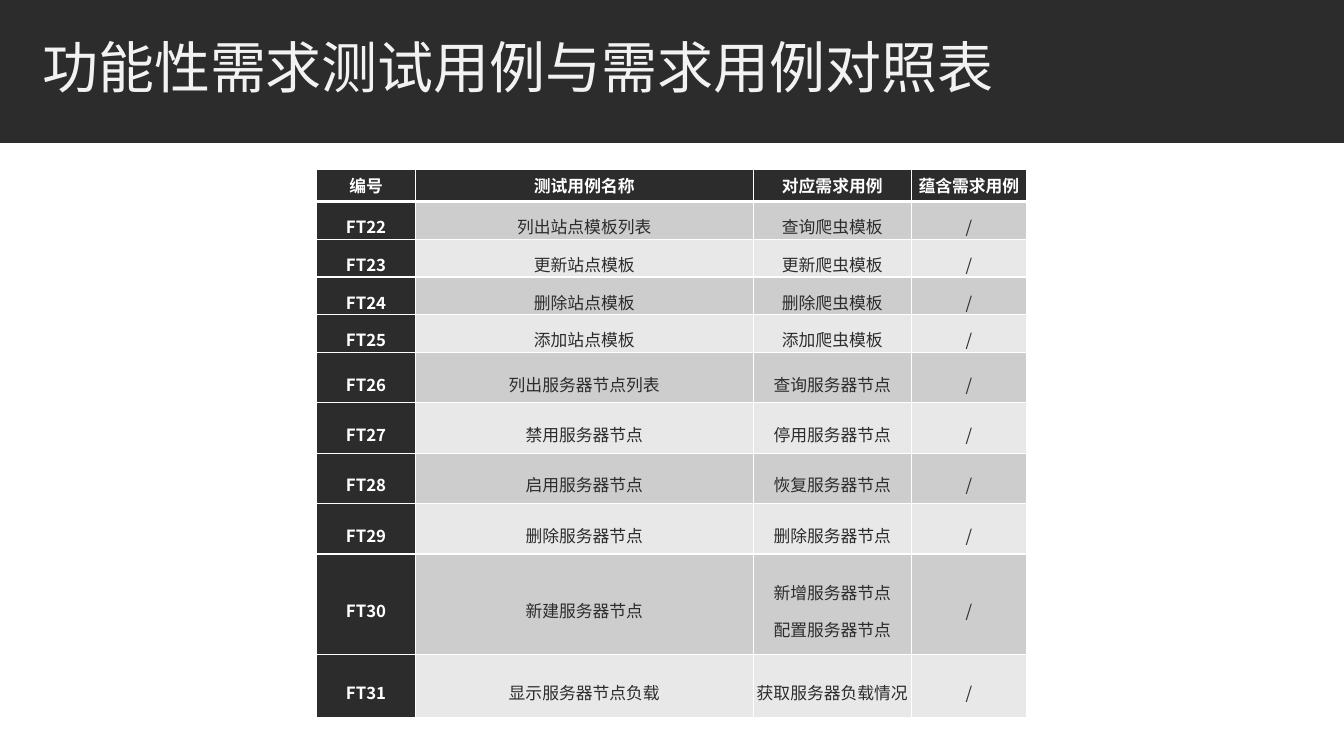
from lxml.etree import SubElement
from pptx import Presentation
from pptx.dml.color import RGBColor
from pptx.enum.shapes import MSO_SHAPE
from pptx.enum.text import MSO_ANCHOR, MSO_AUTO_SIZE, PP_ALIGN
from pptx.oxml.ns import qn
from pptx.util import Cm, Pt

# Content
TITLE = "功能性需求测试用例与需求用例对照表"
HEADER = ("编号", "测试用例名称", "对应需求用例", "蕴含需求用例")
CASES = [
    ("列出站点模板列表", "查询爬虫模板"),
    ("更新站点模板", "更新爬虫模板"),
    ("删除站点模板", "删除爬虫模板"),
    ("添加站点模板", "添加爬虫模板"),
    ("列出服务器节点列表", "查询服务器节点"),
    ("禁用服务器节点", "停用服务器节点"),
    ("启用服务器节点", "恢复服务器节点"),
    ("删除服务器节点", "删除服务器节点"),
    ("新建服务器节点", "新增服务器节点\n配置服务器节点"),
    ("显示服务器节点负载", "获取服务器负载情况"),
]
FIRST_NUMBER = 22

# Look, lengths in centimetres
FONT = "Noto Sans CJK SC"
DARK, WHITE, TITLE_COLOR = "2C2C2C", "FFFFFF", "F2F2F2"
BANDS = ("E8E8E8", "CDCDCD")
COLUMN_WIDTHS = (2.49, 8.51, 3.99, 2.9)
ROW_HEIGHTS = [0.81] + [0.95] * 4 + [1.27] * 4 + [2.54, 1.57]
TABLE_LEFT, TABLE_TOP = 7.98, 4.27


def color(hex_code):
    return RGBColor.from_string(hex_code)


def format_text(para, size, hex_code, bold=False):
    for span in para.runs:
        span.font.size = Pt(size)
        span.font.bold = bold
        span.font.color.rgb = color(hex_code)
        span.font.name = FONT
        SubElement(span._r.get_or_add_rPr(), qn("a:ea"), typeface=FONT)


def add_borders(cell, widths):
    properties = cell._tc.get_or_add_tcPr()
    for side, width in widths.items():
        line = SubElement(properties, qn(f"a:ln{side}"), w=str(Pt(width)))
        fill = SubElement(line, qn("a:solidFill"))
        SubElement(fill, qn("a:srgbClr"), val=WHITE)


def fill_cell(cell, text, row, column):
    is_header = row == 0
    is_dark = is_header or column == 0
    add_borders(cell, {"L": 1, "R": 1,
                       "T": 3 if row == 1 else 1,
                       "B": 3 if is_header else 1})
    cell.fill.solid()
    cell.fill.fore_color.rgb = color(DARK if is_dark else BANDS[row % 2])
    cell.vertical_anchor = MSO_ANCHOR.MIDDLE
    cell.margin_left = cell.margin_right = Cm(0.05 if is_header else 0.08)
    cell.margin_top = cell.margin_bottom = 0
    cell.text_frame.text = text
    for para in cell.text_frame.paragraphs:
        para.alignment = PP_ALIGN.CENTER
        para.line_spacing = 1.0 if is_header else 1.5
        format_text(para, 12, WHITE if is_dark else DARK, is_dark)


deck = Presentation()
deck.slide_width, deck.slide_height = Cm(33.87), Cm(19.05)
page = deck.slides.add_slide(deck.slide_layouts[5])

# Title on a dark band
title = page.shapes.title
title.left, title.top, title.width, title.height = Cm(0.81), Cm(0.66), Cm(27.18), Cm(2.29)
frame = title.text_frame
frame.text = TITLE
frame.word_wrap = True
frame.auto_size = MSO_AUTO_SIZE.NONE
frame.vertical_anchor = MSO_ANCHOR.MIDDLE
heading = frame.paragraphs[0]
heading.alignment = PP_ALIGN.LEFT
heading.line_spacing = 0.85
format_text(heading, 40, TITLE_COLOR)

band = page.shapes.add_shape(MSO_SHAPE.RECTANGLE, 0, 0, deck.slide_width, Cm(3.6))
band.shadow.inherit = False
band.fill.solid()
band.fill.fore_color.rgb = color(DARK)
band.line.fill.background()
title.element.addprevious(band.element)  # band goes behind the title

# Table of test cases
rows = [HEADER] + [(f"FT{number}", name, requirement, "/")
                   for number, (name, requirement) in enumerate(CASES, FIRST_NUMBER)]
table = page.shapes.add_table(
    len(rows), len(HEADER), Cm(TABLE_LEFT), Cm(TABLE_TOP),
    Cm(sum(COLUMN_WIDTHS)), Cm(sum(ROW_HEIGHTS))).table
for column, width in zip(table.columns, COLUMN_WIDTHS):
    column.width = Cm(width)
for table_row, height in zip(table.rows, ROW_HEIGHTS):
    table_row.height = Cm(height)
for row, texts in enumerate(rows):
    for column, text in enumerate(texts):
        fill_cell(table.cell(row, column), text, row, column)

deck.save("out.pptx")
